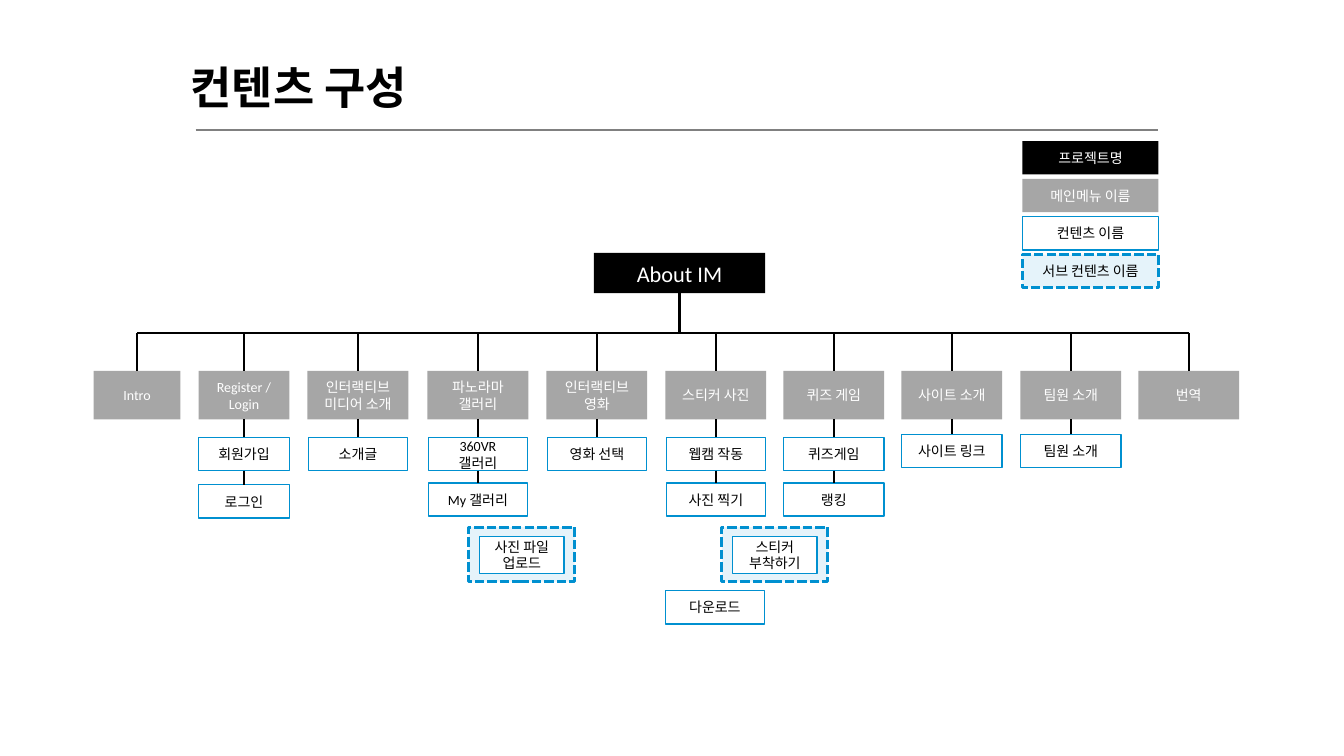
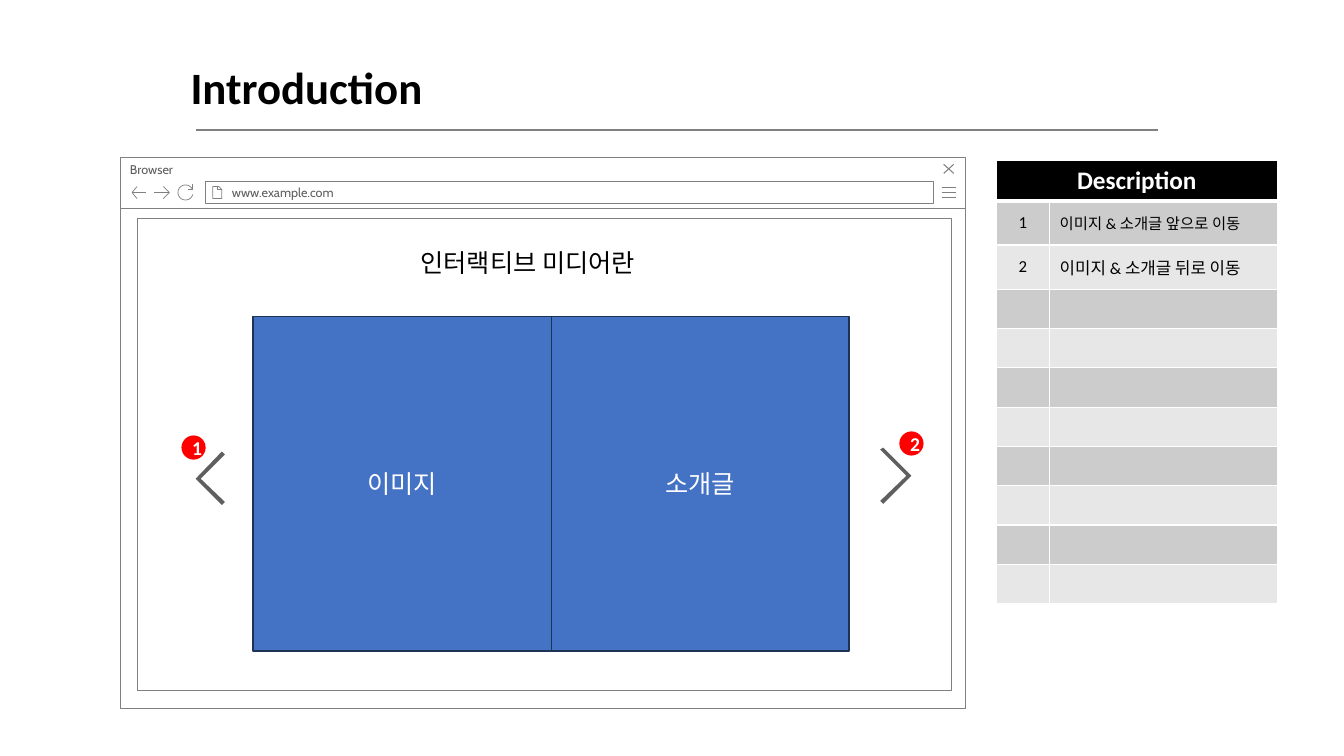
"""Build a content tree slide and a browser wireframe slide."""
import math

import lxml.etree
import pptx
import pptx.dml.color
import pptx.enum.dml
import pptx.enum.shapes
import pptx.enum.text
import pptx.oxml
import pptx.oxml.ns
import pptx.util

PX = 9144
FINE = 10
qn = pptx.oxml.ns.qn
SHAPE = pptx.enum.shapes.MSO_SHAPE
ANCHOR = pptx.enum.text.MSO_ANCHOR
ALIGN = pptx.enum.text.PP_ALIGN
COLORS = {
    "black": "000000", "white": "FFFFFF", "menu": "A6A6A6", "rule": "808080",
    "accent": "0090D0", "ink": "5F5F5F", "panel": "4472C4", "panel_edge": "1E3256",
    "marker": "FF0000", "band_dark": "CCCCCC", "band_light": "E7E7E7",
}
BASE = {"font": "Calibri", "size": 10, "color": "white", "bold": False,
        "align": ALIGN.CENTER, "anchor": ANCHOR.MIDDLE}
CHROME = {**BASE, "fill": "white", "line": "rule", "weight": 0.5, "font": "Cabin",
          "size": 9, "color": "ink", "align": ALIGN.LEFT}
STYLES = {
    "project": {**BASE, "fill": "black"},
    "root": {**BASE, "fill": "black", "size": 16},
    "menu": {**BASE, "fill": "menu"},
    "content": {**BASE, "fill": "white", "line": "accent", "weight": 1, "color": "black"},
    "sub": {**BASE, "fill": "accent", "alpha": 10, "line": "accent", "weight": 2.25,
            "dash": pptx.enum.dml.MSO_LINE.SQUARE_DOT, "color": "black"},
    "window": CHROME,
    "title_bar": {**CHROME, "anchor": ANCHOR.TOP, "margins": {"margin_right": 25}},
    "address": {**CHROME, "margins": {"margin_left": 26}},
    "heading": {**BASE, "fill": "white", "size": 18, "color": "black"},
    "panel": {**BASE, "fill": "panel", "line": "panel_edge", "weight": 1, "size": 18},
    "marker": {**BASE, "fill": "marker", "size": 14, "bold": True},
    "icon": {"line": "rule", "weight": 0.5},
    "close_icon": {"line": "rule", "weight": 0.75},
    "chevron": {"fill": "ink"},
    "title": {**BASE, "size": 32, "color": "black", "bold": True, "align": ALIGN.LEFT,
              "anchor": ANCHOR.TOP},
    "table_head": {**BASE, "fill": "black", "size": 18, "bold": True, "anchor": ANCHOR.TOP},
    "table_cell": {**BASE, "size": 12, "color": "black",
                   "margins": {"margin_top": 0, "margin_bottom": 0}},
}

LEGEND = [("프로젝트명", "project"), ("메인메뉴 이름", "menu"),
          ("컨텐츠 이름", "content"), ("서브 컨텐츠 이름", "sub")]
LEGEND_TOP, LEGEND_PITCH = 140, 37.5
ROOT = ("About IM", (589, 251, 170, 40))
BUS_Y, MENU_Y, MENU_H, ITEM_H = 330, 368, 48, 33
MENUS = [
    {"name": "Intro", "x": 93, "w": 86},
    {"name": "Register / Login", "x": 197, "w": 90, "item_w": 90, "pitch": 47,
     "items": ["회원가입", "로그인"]},
    {"name": "인터랙티브\n미디어 소개", "x": 305, "w": 100, "items": ["소개글"]},
    {"name": "파노라마\n갤러리", "x": 424, "w": 100, "items": ["360VR\n갤러리", "My 갤러리"]},
    {"name": "인터랙티브\n영화", "x": 542, "w": 100, "items": ["영화 선택"]},
    {"name": "스티커 사진", "x": 660, "w": 100, "items": ["웹캠 작동", "사진 찍기"]},
    {"name": "퀴즈 게임", "x": 777, "w": 100, "item_w": 100, "items": ["퀴즈게임", "랭킹"]},
    {"name": "사이트 소개", "x": 894, "w": 100, "item_w": 100, "item_y": 431,
     "items": ["사이트 링크"]},
    {"name": "팀원 소개", "x": 1012, "w": 100, "item_w": 100, "item_y": 431,
     "items": ["팀원 소개"]},
    {"name": "번역", "x": 1129, "w": 100},
]
SUBS = [("사진 파일\n업로드", 465), ("스티커\n부착하기", 716)]
DOWNLOAD = ("다운로드", (660, 586, 98, 33))

BROWSER = [
    ("", (119, 207, 838, 496), "window"),
    ("Browser", (119, 156, 838, 51), "title_bar"),
    ("www.example.com", (204, 180, 722, 22), "address"),
    ("", (136, 217, 808, 468), "window"),
    ("인터랙티브 미디어란", (342, 228, 363, 65), "heading"),
    ("이미지", (251, 314, 296, 332), "panel"),
    ("소개글", (547, 314, 295, 332), "panel"),
]
RELOAD_ARC = [(184 + 7.5 * math.cos(math.radians(a)), 191 + 7.5 * math.sin(math.radians(a)))
              for a in range(15, 331, 15)]
OUTLINES = [
    ("icon", [[(934, y), (948, y)] for y in (186, 191, 196)]),
    ("close_icon", [[(946, 163), (936, 172)], [(936, 163), (946, 172)]]),
    ("icon", [[(216, 185), (216, 188), (220, 188)],
              [(217, 185), (211, 185), (211, 197), (220, 197), (220, 188), (217, 185)]]),
    ("icon", [[(136, 197), (131, 191), (136, 185)], [(131, 191), (145, 191)]]),
    ("icon", [[(162, 185), (168, 191), (162, 197)], [(168, 191), (153, 191)]]),
    ("icon", [[(191, 183), (191, 188), (186, 188)], RELOAD_ARC]),
    ("chevron", [[(876, 444), (873, 446), (899, 472), (873, 497), (876, 500), (904, 472),
                  (876, 444)]]),
    ("chevron", [[(220, 501), (223, 498), (199, 475), (223, 451), (220, 448), (194, 475),
                  (220, 501)]]),
]
MARKERS = [("1", (180, 432, 24, 24)), ("2", (892, 428, 24, 24))]
TABLE_AT = (988, 159, 279, 440)
TABLE_HEAD = "Description"
TABLE_COLS = [53, 226]
TABLE_ROWS = [35, 44, 44] + [39] * 8
NOTES = [("1", "이미지 & 소개글 앞으로 이동", 11), ("2", "이미지 & 소개글 뒤로 이동", 12)]


def px(v):
    return pptx.util.Emu(round(v * PX))


def rgb(name):
    return pptx.dml.color.RGBColor.from_string(COLORS[name])


def write(tf, text, style):
    """Fill a text frame with one paragraph per line of text."""
    tf.text = text
    for p in tf.paragraphs:
        p.alignment = style["align"]
        for r in p.runs:
            for key, value in {"name": style["font"], "size": pptx.util.Pt(style["size"]),
                               "bold": style["bold"]}.items():
                setattr(r.font, key, value)
            r.font.color.rgb = rgb(style["color"])


def paint(sp, style):
    """Apply fill, outline and no shadow."""
    sp.shadow.inherit = False
    if "fill" in style:
        sp.fill.solid()
        sp.fill.fore_color.rgb = rgb(style["fill"])
    else:
        sp.fill.background()
    if "alpha" in style:
        clr = sp._element.spPr.find(qn("a:solidFill"))[0]
        lxml.etree.SubElement(clr, qn("a:alpha")).set("val", str(style["alpha"] * 1000))
    if "line" in style:
        sp.line.color.rgb = rgb(style["line"])
        sp.line.width = pptx.util.Pt(style["weight"])
        if "dash" in style:
            sp.line.dash_style = style["dash"]
    else:
        sp.line.fill.background()


def box(s, text, rect, kind, shape=SHAPE.RECTANGLE):
    style = STYLES[kind]
    sp = s.shapes.add_shape(shape, *map(px, rect))
    paint(sp, style)
    if text:
        tf = sp.text_frame
        tf.vertical_anchor = style["anchor"]
        for key, value in style.get("margins", {}).items():
            setattr(tf, key, px(value))
        write(tf, text, style)
    return sp


def line(s, x1, y1, x2, y2, color="black", begin=None, end=None):
    """Draw a line, joined to a shape's bottom at its start or top at its end."""
    c = s.shapes.add_connector(pptx.enum.shapes.MSO_CONNECTOR.STRAIGHT,
                               *map(px, (x1, y1, x2, y2)))
    c.line.color.rgb = rgb(color)
    c.line.width = pptx.util.Pt(1.5)
    lxml.etree.SubElement(c._element.spPr, qn("a:effectLst"))
    if begin is not None:
        c.begin_connect(begin, 2)
    if end is not None:
        c.end_connect(end, 0)


def outline(s, kind, strokes):
    fine = [[(x * FINE, y * FINE) for x, y in stroke] for stroke in strokes]
    fb = s.shapes.build_freeform(*fine[0][0], scale=PX / FINE)
    for i, stroke in enumerate(fine):
        if i:
            fb.move_to(*stroke[0])
        fb.add_line_segments(stroke[1:], close=stroke[0] == stroke[-1])
    paint(fb.convert_to_shape(), STYLES[kind])


def titled_slide(prs, title):
    s = prs.slides.add_slide(prs.slide_layouts[5])
    sp = s.shapes.title
    for key, value in zip(("left", "top", "width", "height"), (179, 54, 286, 64)):
        setattr(sp, key, px(value))
    tf = sp.text_frame
    for key, value in {"word_wrap": False, "vertical_anchor": ANCHOR.TOP,
                       "auto_size": pptx.enum.text.MSO_AUTO_SIZE.SHAPE_TO_FIT_TEXT}.items():
        setattr(tf, key, value)
    write(tf, title, STYLES["title"])
    line(s, 194, 129, 1149, 129, "rule")
    return s


def menu_column(s, menu):
    """Draw one menu box with its items below, and return its centre."""
    mid = menu["x"] + menu["w"] / 2
    above = box(s, menu["name"], (menu["x"], MENU_Y, menu["w"], MENU_H), "menu")
    line(s, mid, BUS_Y, mid, MENU_Y, end=above)
    w = menu.get("item_w", 98)
    for i, name in enumerate(menu.get("items", [])):
        y = menu.get("item_y", 434) + i * menu.get("pitch", 45)
        item = box(s, name, (mid - w / 2, y, w, ITEM_H), "content")
        line(s, mid, y, mid, y, begin=above, end=item)
        above = item
    return mid


def content_tree(prs):
    s = titled_slide(prs, "컨텐츠 구성")
    for i, (name, kind) in enumerate(LEGEND):
        box(s, name, (1014, LEGEND_TOP + i * LEGEND_PITCH, 135, 33), kind)
    root = box(s, *ROOT, "root")
    x, y, w, h = ROOT[1]
    line(s, x + w / 2, y + h, x + w / 2, BUS_Y, begin=root)
    mids = [menu_column(s, menu) for menu in MENUS]
    line(s, mids[0], BUS_Y, mids[-1], BUS_Y)
    for name, x in SUBS:
        box(s, "", (x, 523, 105, 54), "sub")
        box(s, name, (x + 10.5, 532, 84, 37), "content")
    box(s, *DOWNLOAD, "content")


def format_cell(cell, text, style, borders):
    write(cell.text_frame, text, style)
    cell.vertical_anchor = style["anchor"]
    for key, value in style.get("margins", {}).items():
        setattr(cell, key, px(value))
    cell.fill.solid()
    cell.fill.fore_color.rgb = rgb(style["fill"])
    tcPr = cell._tc.get_or_add_tcPr()
    for i, (side, weight) in enumerate(borders.items()):
        ln = lxml.etree.Element(qn("a:ln" + side), w=str(pptx.util.Pt(weight)))
        fill = lxml.etree.SubElement(ln, qn("a:solidFill"))
        lxml.etree.SubElement(fill, qn("a:srgbClr"), val=COLORS["white"])
        tcPr.insert(i, ln)


def description_table(s):
    tbl = s.shapes.add_table(len(TABLE_ROWS), len(TABLE_COLS), *map(px, TABLE_AT)).table
    for col, w in zip(tbl.columns, TABLE_COLS):
        col.width = px(w)
    for row, h in zip(tbl.rows, TABLE_ROWS):
        row.height = px(h)
    tbl.cell(0, 0).merge(tbl.cell(0, 1))
    for j in range(len(TABLE_COLS)):
        format_cell(tbl.cell(0, j), "" if j else TABLE_HEAD, STYLES["table_head"],
                    {"L": 1, "R": 1, "T": 1, "B": 3})
    for i in range(1, len(TABLE_ROWS)):
        number, note, size = NOTES[i - 1] if i <= len(NOTES) else ("", "", 12)
        style = {**STYLES["table_cell"], "fill": "band_dark" if i % 2 else "band_light"}
        borders = {"L": 1, "R": 1, "T": 3 if i == 1 else 1, "B": 1}
        format_cell(tbl.cell(i, 0), number, style, borders)
        format_cell(tbl.cell(i, 1), note, {**style, "size": size, "align": ALIGN.LEFT}, borders)


def introduction(prs):
    s = titled_slide(prs, "Introduction")
    for part in BROWSER:
        box(s, *part)
    for kind, strokes in OUTLINES:
        outline(s, kind, strokes)
    for number, rect in MARKERS:
        box(s, number, rect, "marker", SHAPE.OVAL)
    description_table(s)


def main():
    prs = pptx.Presentation()
    prs.slide_width, prs.slide_height = px(1333), px(750)
    content_tree(prs)
    introduction(prs)
    prs.save("out.pptx")


if __name__ == "__main__":
    main()
